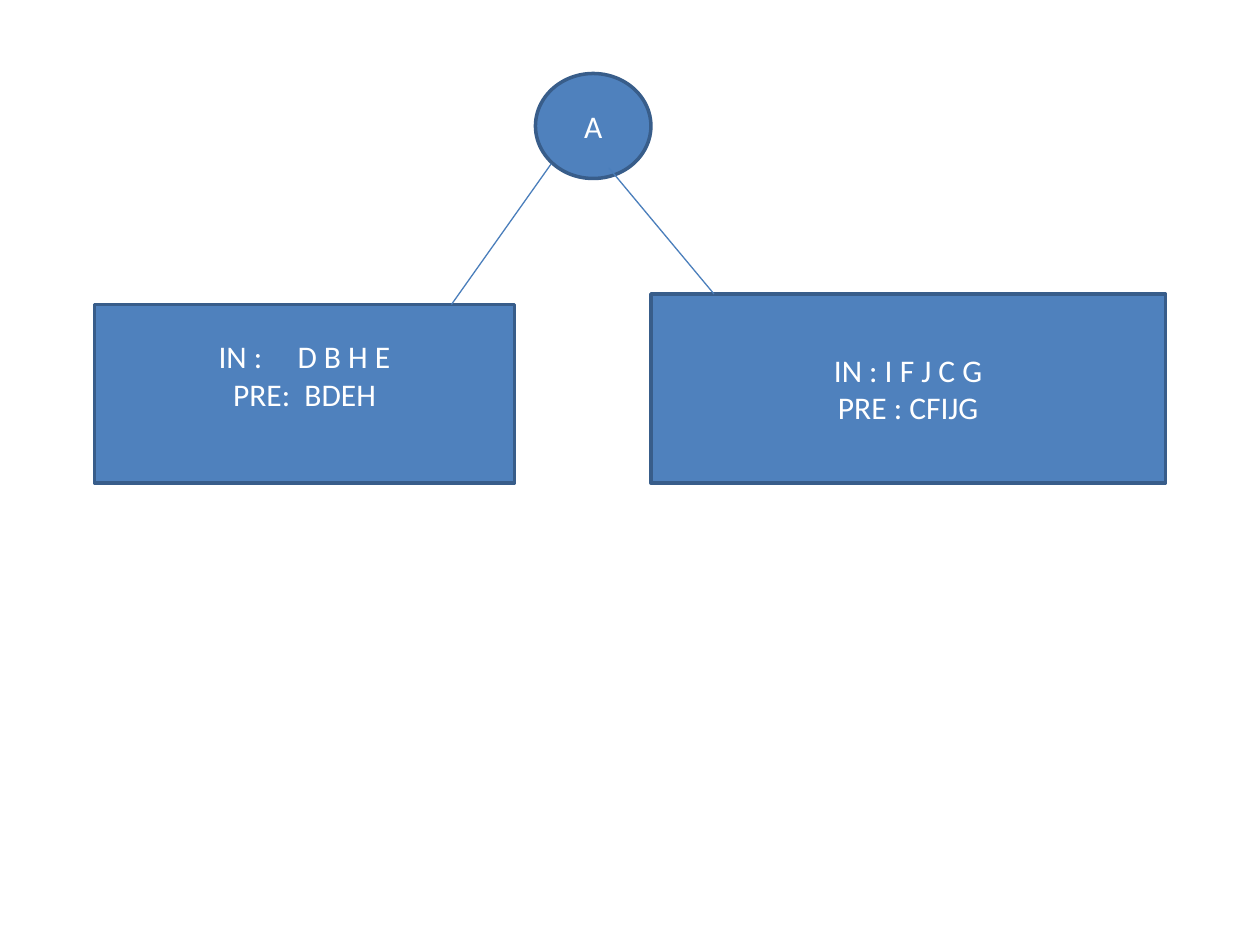
from pptx import Presentation
from pptx.dml.color import RGBColor
from pptx.enum.shapes import MSO_CONNECTOR, MSO_SHAPE
from pptx.enum.text import MSO_ANCHOR, PP_ALIGN
from pptx.oxml.ns import qn
from pptx.util import Inches, Pt
from lxml import etree

OVAL, RECT = MSO_SHAPE.OVAL, MSO_SHAPE.RECTANGLE
LINE = MSO_CONNECTOR.STRAIGHT
MID, CENTER = MSO_ANCHOR.MIDDLE, PP_ALIGN.CENTER

deck = Presentation()
deck.slide_width, deck.slide_height = Inches(10), Inches(7.5)
slide = deck.slides.add_slide(deck.slide_layouts[6])
UNIT = deck.slide_width / 120  # grid of 120 columns by 90 rows


def hue(code):
    return RGBColor.from_string(code)


def write(shape, lines, size=18, font="Calibri", color="FFFFFF", foot=0.05):
    """Each line is a list of (text, extra letter spacing in points)."""
    frame = shape.text_frame
    frame.word_wrap = True
    frame.vertical_anchor = MID
    frame.margin_bottom = Inches(foot)
    for i, line in enumerate(lines):
        para = frame.paragraphs[0] if i == 0 else frame.add_paragraph()
        para.alignment = CENTER
        for text, gap in line:
            run = para.add_run()
            run.text = text
            run.font.size, run.font.name = Pt(size), font
            run.font.color.rgb = hue(color)
            if gap:
                run.font._element.set("spc", str(gap * 100))


# Tree nodes: shape, grid box, lines, bottom margin
left = [
    [("IN :", 0), (" ", 16), ("D B H E", 0)],
    [("PRE:", 0), (" ", 4), ("BDEH", 0)],
]
right = [[("IN : I F J C G", 0)], [("PRE : CFIJG", 0)]]
nodes = [
    (OVAL, (51, 7, 11, 10), [[("A", 0)]], 0.05),
    (RECT, (9, 29, 40, 17), left, 0.35),
    (RECT, (62, 28, 49, 18), right, 0.05),
]
for kind, box, lines, foot in nodes:
    node = slide.shapes.add_shape(kind, *(round(n * UNIT) for n in box))
    node.shadow.inherit = False
    node.fill.solid()
    node.fill.fore_color.rgb = hue("4F81BD")
    node.line.color.rgb = hue("385D8A")
    node.line.width = Pt(2)
    write(node, lines, foot=foot)

# Branches from the root to its subtrees
for ends in [(52.5, 15.6, 43, 29), (58, 16, 68, 28)]:
    edge = slide.shapes.add_connector(LINE, *(round(n * UNIT) for n in ends))
    edge.line.color.rgb = hue("4A7EBB")
    edge.line.width = Pt(0.75)
    etree.SubElement(edge._element.spPr, qn("a:effectLst"))

deck.save("out.pptx")
